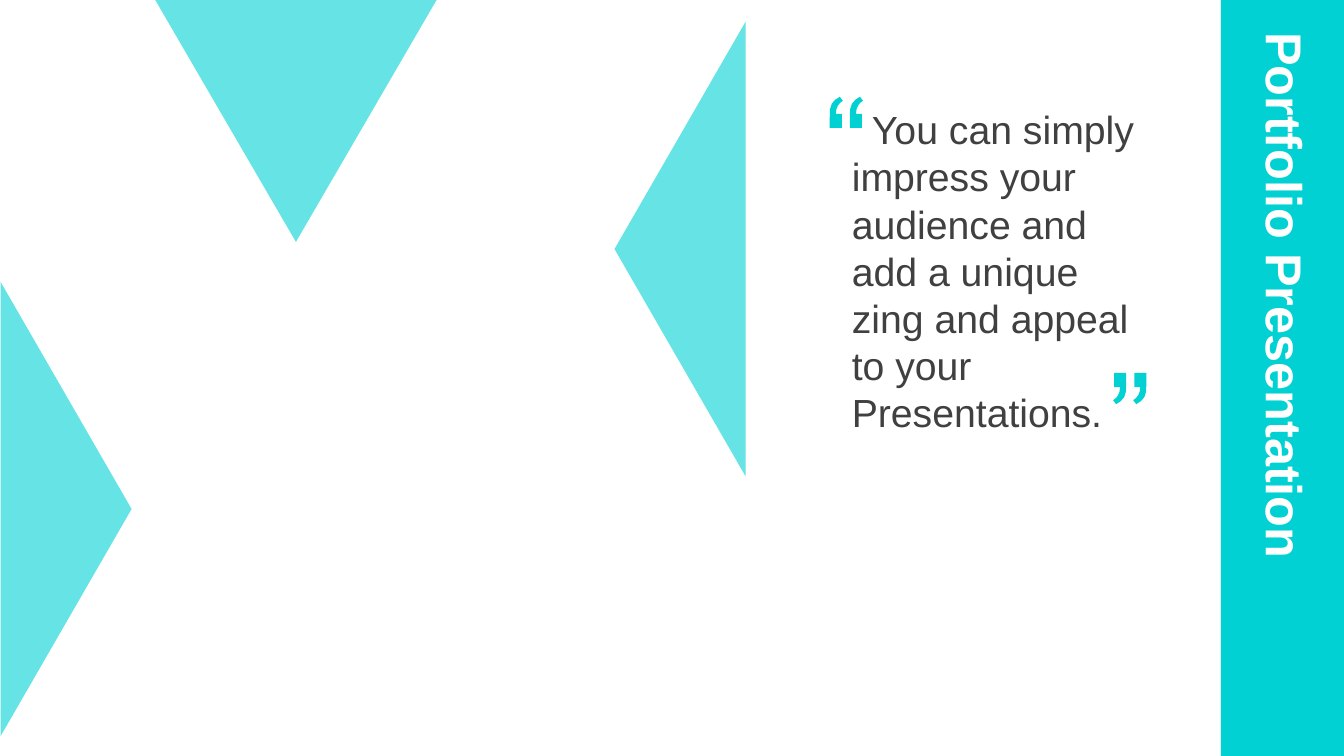
from lxml import etree
from pptx import Presentation
from pptx.dml.color import RGBColor
from pptx.enum.shapes import MSO_SHAPE
from pptx.enum.text import MSO_ANCHOR, MSO_AUTO_SIZE, PP_ALIGN
from pptx.oxml.ns import qn
from pptx.util import Inches, Pt

TRIANGLE = MSO_SHAPE.ISOSCELES_TRIANGLE
RECTANGLE = MSO_SHAPE.RECTANGLE
TOP, MIDDLE = MSO_ANCHOR.TOP, MSO_ANCHOR.MIDDLE
LEFT, JUSTIFY = PP_ALIGN.LEFT, PP_ALIGN.JUSTIFY
FIT_SHAPE = MSO_AUTO_SIZE.SHAPE_TO_FIT_TEXT

TURQUOISE = RGBColor(0x01, 0xD1, 0xD3)
DARK_GRAY = RGBColor(0x40, 0x40, 0x40)
WHITE = RGBColor(0xFF, 0xFF, 0xFF)

FONT = "Arial"
TITLE = "Portfolio Presentation"
QUOTE = ("You can simply impress your audience and add a unique zing "
         "and appeal to your Presentations.")

TRIANGLES = [
    ((-1.6, 4.4, 4.51, 1.3), 90),
    ((1.54, 0, 2.79, 2.4), 180),
    ((4.49, 1.82, 4.51, 1.3), 270),
]
SIDEBAR = (12.11, 0, 1.23, 7.5)
QUOTE_BOX = (8.35, 1, 3.15, 3.4)
TITLE_BOX = (9.17, 3.24, 7.06, 1.02)
QUOTE_INDENT = 0.2

MARK_START = (0.1, 0)
MARK_SEGMENTS = [
    [(0.13, 0.04)],
    [(0.11, 0.05), (0.09, 0.07), (0.08, 0.09)],
    [(0.07, 0.11), (0.06, 0.13), (0.06, 0.17)],
    [(0.12, 0.17)],
    [(0.12, 0.31)],
    [(0, 0.31)],
    [(0, 0.2)],
    [(0, 0.14), (0, 0.1), (0.02, 0.07)],
    [(0.04, 0.04), (0.06, 0.02), (0.1, 0)],
]
MARK_GAP = 0.2
CURVE_STEPS = 2
QUOTE_MARKS = [((8.23, 0.96), 1), ((11.37, 4.01), -1)]


def paint(shape, alpha=None):
    shape.shadow.inherit = False
    shape.fill.solid()
    shape.fill.fore_color.rgb = TURQUOISE
    shape.line.fill.background()
    if alpha is not None:
        color = shape.fill._xPr.find(qn("a:solidFill"))[0]
        etree.SubElement(color, qn("a:alpha")).set("val", str(alpha * 1000))


def add_block(slide, kind, box, rotation=0, alpha=None):
    shape = slide.shapes.add_shape(kind, *map(Inches, box))
    shape.rotation = rotation
    paint(shape, alpha)


def add_text(slide, box, text, size, color, bold=False, anchor=TOP, align=LEFT):
    shape = slide.shapes.add_textbox(*map(Inches, box))
    shape.text_frame.word_wrap = True
    shape.text_frame.vertical_anchor = anchor
    paragraph = shape.text_frame.paragraphs[0]
    paragraph.alignment = align
    run = paragraph.add_run()
    run.text = text
    run.font.name = FONT
    run.font.size = Pt(size)
    run.font.bold = bold
    run.font.color.rgb = color
    return shape, paragraph


def mark_outline():
    points = [MARK_START]
    for segment in MARK_SEGMENTS:
        if len(segment) == 1:
            points += segment
            continue
        controls = [points[-1]] + segment
        for step in range(1, CURVE_STEPS + 1):
            t = step / CURVE_STEPS
            weights = ((1 - t) ** 3, 3 * t * (1 - t) ** 2, 3 * t ** 2 * (1 - t), t ** 3)
            points.append(tuple(
                sum(weight * control[axis] for weight, control in zip(weights, controls))
                for axis in (0, 1)))
    return points[:-1]


def add_quote_mark(slide, origin, direction):
    first, second = [
        [(Inches(origin[0] + direction * (x + shift)), Inches(origin[1] + direction * y))
         for x, y in mark_outline()]
        for shift in (0, MARK_GAP)
    ]
    builder = slide.shapes.build_freeform(*first[0])
    builder.add_line_segments(first[1:], close=True)
    builder.move_to(*second[0])
    builder.add_line_segments(second[1:], close=True)
    paint(builder.convert_to_shape())


def main():
    presentation = Presentation()
    presentation.slide_width = Inches(13.33)
    presentation.slide_height = Inches(7.5)
    slide = presentation.slides.add_slide(presentation.slide_layouts[6])

    for box, rotation in TRIANGLES:
        add_block(slide, TRIANGLE, box, rotation, alpha=60)

    quote_box, quote = add_text(slide, QUOTE_BOX, QUOTE, 28, DARK_GRAY)
    quote_box.text_frame.auto_size = FIT_SHAPE
    quote._p.get_or_add_pPr().set("indent", str(Inches(QUOTE_INDENT)))

    add_block(slide, RECTANGLE, SIDEBAR)
    title_box, title = add_text(slide, TITLE_BOX, TITLE, 36, WHITE, True, MIDDLE, JUSTIFY)
    title_box.rotation = 90
    title.line_spacing = 0.8

    for origin, direction in QUOTE_MARKS:
        add_quote_mark(slide, origin, direction)

    presentation.save("out.pptx")


if __name__ == "__main__":
    main()
